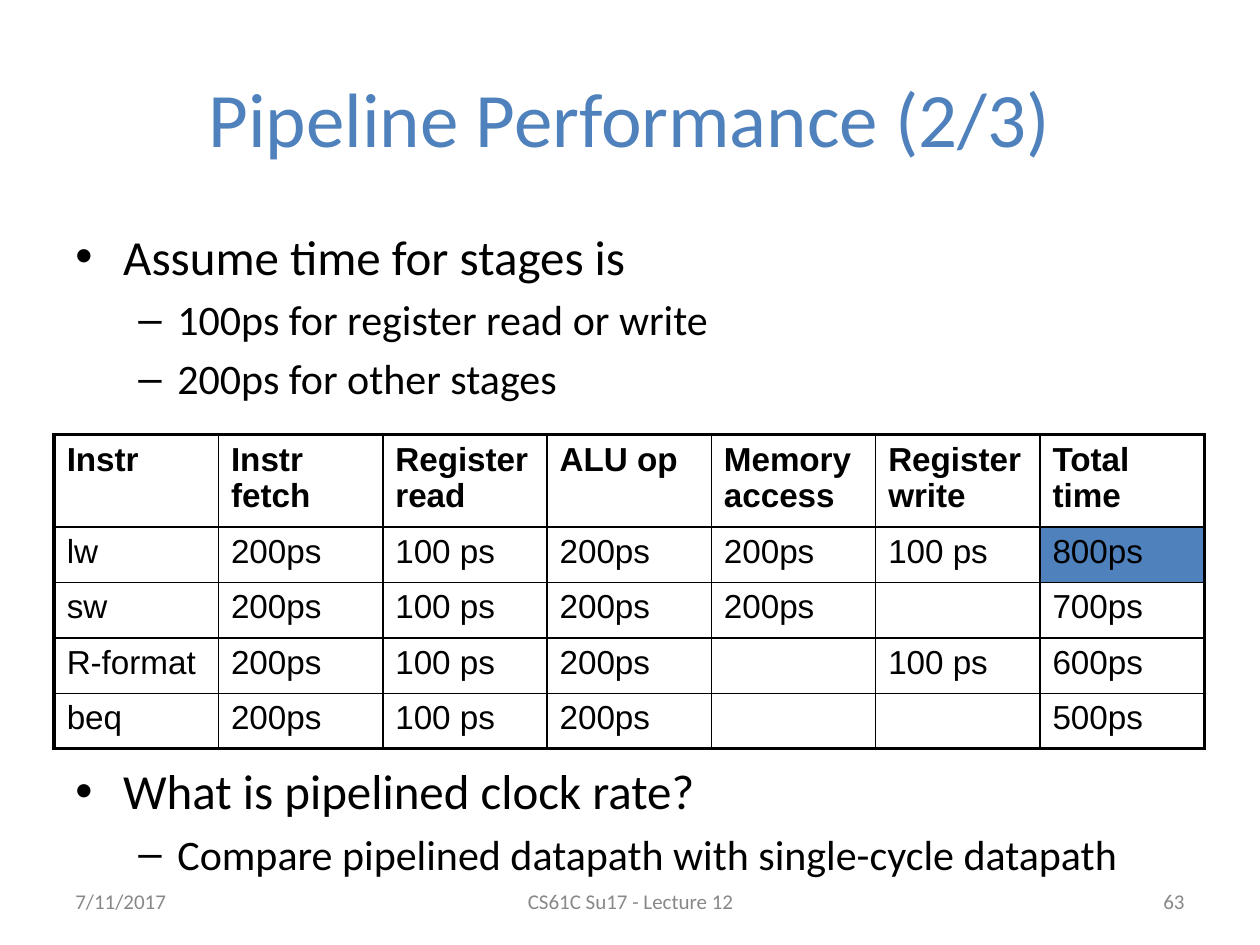
from lxml import etree
from pptx import Presentation, util as u
from pptx.dml.color import RGBColor
from pptx.enum import text
from pptx.oxml import ns

THEME = {
    "accent": "4F81BD", "ink": "000000", "muted": "888888",
    "head_font": "Calibri", "table_font": "Arial",
    "title": 44, "body": 28, "sub": 24, "cell": 19, "footer": 12,
    "outer": 2.25, "under_header": 1.5, "inner": 1,
}
ALIGN = text.PP_ALIGN
ANCHOR = text.MSO_ANCHOR


class SlideBuilder:
    def __init__(self, slide, theme):
        self.s = slide
        self.t = theme

    def run(self, p, content, color, **fmt):
        r = p.add_run()
        r.text = content
        for name, value in fmt.items():
            setattr(r.font, name, value)
        r.font.color.rgb = RGBColor.from_string(color)

    def frame(self, box, anchor):
        tf = self.s.shapes.add_textbox(*map(u.Inches, box)).text_frame
        tf.word_wrap = True
        tf.vertical_anchor = anchor
        return tf

    def label(self, box, content, size, color, align):
        p = self.frame(box, ANCHOR.MIDDLE).paragraphs[0]
        p.alignment = align
        self.run(p, content, color, size=u.Pt(size), name=self.t["head_font"])

    def bullets(self, box, items):
        tf = self.frame(box, ANCHOR.TOP)
        styles = [("•", 0.38, 0.38, self.t["body"]), ("–", 0.81, 0.31, self.t["sub"])]
        for i, (level, before, content) in enumerate(items):
            p = tf.add_paragraph() if i else tf.paragraphs[0]
            mark, left, hang, size = styles[level]
            p.level = level
            p.space_before = u.Pt(before)
            pPr = p._p.get_or_add_pPr()
            pPr.set("marL", str(u.Inches(left)))
            pPr.set("indent", str(-u.Inches(hang)))
            etree.SubElement(pPr, ns.qn("a:buFont"), typeface=self.t["table_font"])
            etree.SubElement(pPr, ns.qn("a:buChar"), char=mark)
            self.run(p, content, self.t["ink"], size=u.Pt(size), name=self.t["head_font"])

    def borders(self, cell, widths):
        tcPr = cell._tc.get_or_add_tcPr()
        for i, (side, width) in enumerate(widths.items()):
            ln = etree.Element(ns.qn(f"a:ln{side}"), w=str(u.Pt(width)))
            fill = etree.SubElement(ln, ns.qn("a:solidFill"))
            etree.SubElement(fill, ns.qn("a:srgbClr"), val=self.t["ink"])
            tcPr.insert(i, ln)

    def table(self, box, heights, rows, highlight):
        t, last_row, last_col = self.t, len(rows) - 1, len(rows[0]) - 1
        tbl = self.s.shapes.add_table(last_row + 1, last_col + 1, *map(u.Inches, box)).table
        tbl.first_row = tbl.horz_banding = False
        for col in tbl.columns:
            col.width = u.Inches(box[2] / (last_col + 1))
        for i, row in enumerate(rows):
            tbl.rows[i].height = u.Inches(heights[i])
            for j, content in enumerate(row):
                cell = tbl.cell(i, j)
                if (i, j) == highlight:
                    cell.fill.solid()
                    cell.fill.fore_color.rgb = RGBColor.from_string(t["accent"])
                else:
                    cell.fill.background()
                if content:
                    self.run(cell.text_frame.paragraphs[0], content, t["ink"],
                             size=u.Pt(t["cell"]), name=t["table_font"], bold=i == 0)
                horizontal = {0: t["outer"], 1: t["under_header"], last_row + 1: t["outer"]}
                self.borders(cell, {
                    "L": t["outer"] if j == 0 else t["inner"],
                    "R": t["outer"] if j == last_col else t["inner"],
                    "T": horizontal.get(i, t["inner"]),
                    "B": horizontal.get(i + 1, t["inner"]),
                })


def main():
    prs = Presentation()
    prs.slide_width, prs.slide_height = u.Inches(10), u.Inches(7.5)
    b = SlideBuilder(prs.slides.add_slide(prs.slide_layouts[6]), THEME)

    # Title
    b.label((0.5, 0.3, 9, 1.25), "Pipeline Performance (2/3)",
            THEME["title"], THEME["accent"], ALIGN.CENTER)

    # Bullets, with room for the table before the question
    b.bullets((0.5, 1.75, 9, 5.4), [
        (0, 0, "Assume time for stages is"),
        (1, 4.8, "100ps for register read or write"),
        (1, 4.8, "200ps for other stages"),
        (0, 204.5, "What is pipelined clock rate?"),
        (1, 4.8, "Compare pipelined datapath with single-cycle datapath"),
    ])

    # Stage times per instruction
    b.table((0.43, 3.45, 9.13, 2.45), [0.69] + [0.44] * 4, [
        ["Instr", "Instr fetch", "Register read", "ALU op",
         "Memory access", "Register write", "Total time"],
        ["lw", "200ps", "100 ps", "200ps", "200ps", "100 ps", "800ps"],
        ["sw", "200ps", "100 ps", "200ps", "200ps", "", "700ps"],
        ["R-format", "200ps", "100 ps", "200ps", "", "100 ps", "600ps"],
        ["beq", "200ps", "100 ps", "200ps", "", "", "500ps"],
    ], highlight=(1, 6))

    # Footer
    for left, width, content, align in [
        (0.5, 2.33, "7/11/2017", ALIGN.LEFT),
        (3.42, 3.17, "CS61C Su17 - Lecture 12", ALIGN.CENTER),
        (7.17, 2.33, "63", ALIGN.RIGHT),
    ]:
        b.label((left, 6.95, width, 0.4), content, THEME["footer"], THEME["muted"], align)

    prs.save("out.pptx")


if __name__ == "__main__":
    main()
